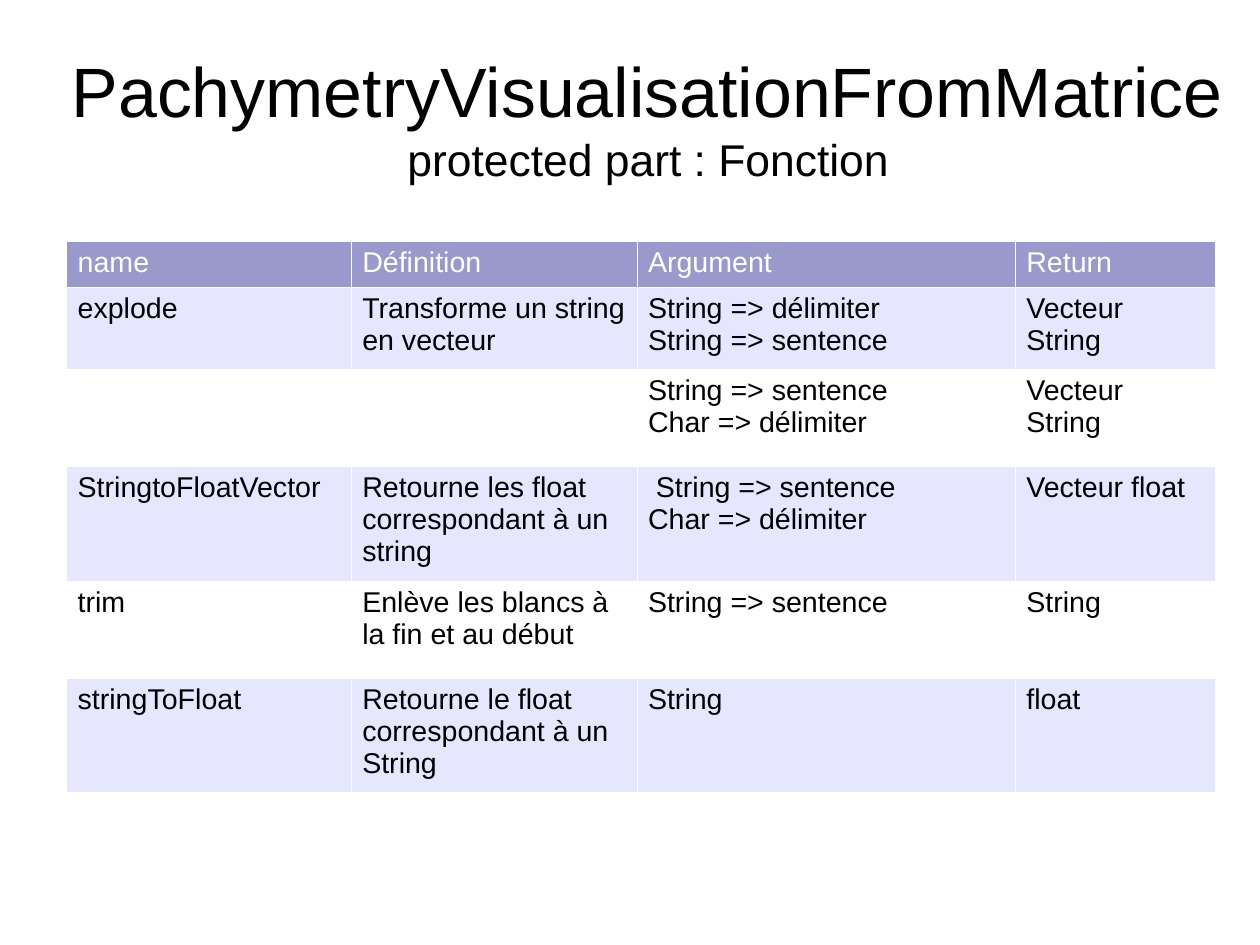
import pptx
import pptx.util
import pptx.dml.color
import pptx.enum.text
import pptx.oxml
import pptx.oxml.ns
from dataclasses import dataclass

Inches, Pt, Cm = pptx.util.Inches, pptx.util.Pt, pptx.util.Cm
RGB = pptx.dml.color.RGBColor.from_string
ALIGN, ANCHOR = pptx.enum.text.PP_ALIGN, pptx.enum.text.MSO_ANCHOR

# Content
TITLE = "PachymetryVisualisationFromMatrice"
SUBTITLE = "protected part\u00a0: Fonction"
HEADINGS = ("name", "Définition", "Argument ", "Return ")
FUNCTIONS = [
    ("explode", "Transforme un string en vecteur",
     "String => délimiter\nString => sentence", "Vecteur String"),
    ("", "", "String => sentence\nChar => délimiter", "Vecteur String"),
    ("StringtoFloatVector", "Retourne les float correspondant à un string",
     " String => sentence\nChar => délimiter", "Vecteur float"),
    ("trim", "Enlève les blancs à la fin et au début", "String => sentence", "String "),
    ("stringToFloat", "Retourne le float correspondant à un String ", "String", "float"),
]
COLUMN_WIDTHS = (2.49, 2.5, 3.31, 1.75)
ROW_HEIGHTS = (0.38, 0.72, 0.85, 0.94, 0.85, 0.94)


@dataclass(frozen=True)
class Theme:
    font: str = "Arial"
    ink: str = "000000"
    paper: str = "FFFFFF"
    heading: str = "9999CC"
    band: str = "E6E6FF"
    title_size: int = 44
    subtitle_size: int = 28
    table_size: int = 18
    border: float = 0.06


theme = Theme()


def write(paragraph, text, size=theme.table_size, color=theme.ink, align=ALIGN.LEFT):
    """Add one formatted run to a paragraph."""
    paragraph.alignment = align
    run = paragraph.add_run()
    run.text = text
    run.font.name, run.font.size, run.font.bold = theme.font, Pt(size), False
    run.font.color.rgb = RGB(color)


def fill_cell(cell, text, fill, color):
    cell.fill.solid()
    cell.fill.fore_color.rgb = RGB(fill)
    cell.margin_left = cell.margin_right = Inches(0.1)
    cell.margin_top = cell.margin_bottom = Inches(0.05)
    lines = text.split("\n") if text else []
    for number, line in enumerate(lines):
        frame = cell.text_frame
        write(frame.add_paragraph() if number else frame.paragraphs[0], line, color=color)
    # Cell borders come before the fill in the cell properties
    properties = cell._tc.get_or_add_tcPr()
    for position, side in enumerate(("lnL", "lnR", "lnT", "lnB")):
        properties.insert(position, pptx.oxml.parse_xml(
            f'<a:{side} {pptx.oxml.ns.nsdecls("a")} w="{int(Pt(theme.border))}">'
            f'<a:solidFill><a:srgbClr val="{theme.paper}"/></a:solidFill></a:{side}>'))


# Slide of 28 by 21 cm
presentation = pptx.Presentation()
presentation.slide_width, presentation.slide_height = Cm(28), Cm(21)
slide = presentation.slides.add_slide(presentation.slide_layouts[6])

# Title and subtitle
title = slide.shapes.add_textbox(
    Inches(0.55), Inches(0.33), Inches(10.24), Inches(1.38)).text_frame
title.word_wrap = True
title.vertical_anchor = ANCHOR.MIDDLE
title.margin_left = title.margin_right = title.margin_top = title.margin_bottom = 0
title_line = title.paragraphs[0]
write(title_line, TITLE, size=theme.title_size, align=ALIGN.CENTER)
title_line.add_line_break()
write(title_line, SUBTITLE, size=theme.subtitle_size, align=ALIGN.CENTER)

# Function table
rows = [HEADINGS] + FUNCTIONS
functions = slide.shapes.add_table(
    len(rows), len(HEADINGS), Inches(0.58), Inches(2.11),
    Inches(sum(COLUMN_WIDTHS)), Inches(sum(ROW_HEIGHTS))).table
functions.first_row = functions.horz_banding = False
for column, width in zip(functions.columns, COLUMN_WIDTHS):
    column.width = Inches(width)
for r, (texts, height) in enumerate(zip(rows, ROW_HEIGHTS)):
    functions.rows[r].height = Inches(height)
    band = theme.band if r % 2 else theme.paper
    fill, color = (band, theme.ink) if r else (theme.heading, theme.paper)
    for c, text in enumerate(texts):
        fill_cell(functions.cell(r, c), text, fill, color)

presentation.save("out.pptx")
